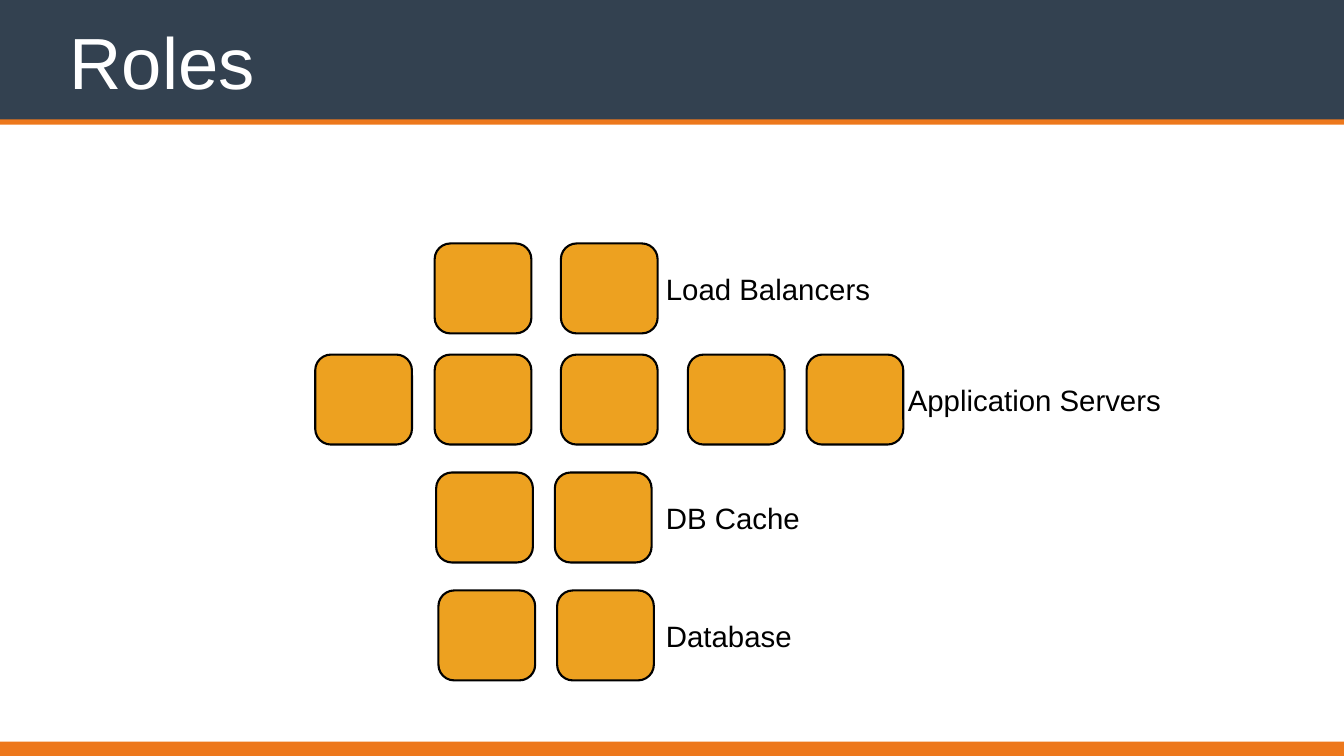
from lxml import etree
from pptx import Presentation
from pptx.dml.color import RGBColor
from pptx.enum.shapes import MSO_SHAPE as Preset
from pptx.enum.text import MSO_ANCHOR as Anchor
from pptx.util import Inches, Pt


def color(value):
    return RGBColor.from_string(value)


def add_text(text, left, top, width, height, anchor, margin):
    frame = slide.shapes.add_textbox(Inches(left), Inches(top), Inches(width), Inches(height)).text_frame
    frame.word_wrap = True
    frame.vertical_anchor = anchor
    frame.margin_left = frame.margin_right = Inches(margin)
    frame.margin_top = frame.margin_bottom = Inches(margin)
    paragraph = frame.paragraphs[0]
    paragraph.text = text
    return paragraph


presentation = Presentation()
presentation.slide_width = Inches(17.78)
presentation.slide_height = Inches(10)
slide = presentation.slides.add_slide(presentation.slide_layouts[6])

bands = [(-0.14, 1.78, "334150"), (1.58, 0.07, "ED781C"), (9.81, 0.25, "ED781C")]
for top, height, fill in bands:
    band = slide.shapes.add_shape(Preset.RECTANGLE, 0, Inches(top), Inches(17.78), Inches(height))
    band.shadow.inherit = False
    band.fill.solid()
    band.fill.fore_color.rgb = color(fill)
    band.line.fill.background()

title = add_text("Roles", 0.88, 0.19, 16.03, 1.22, Anchor.BOTTOM, 0.04)
title_run = title.runs[0]
title_run.font.size = Pt(69)
title_run.font.color.rgb = color("FFFFFF")
title_run.font._element.append(etree.fromstring(
    '<a:effectLst xmlns:a="http://schemas.openxmlformats.org/drawingml/2006/main">'
    '<a:outerShdw blurRad="38100" dist="38100" dir="2700000">'
    '<a:srgbClr val="000000"/></a:outerShdw></a:effectLst>'))
title_run.font.name = "Arial"

roles = [
    ("Load Balancers", 3.22, [5.75, 7.42], 8.81),
    ("Application Servers", 4.69, [4.17, 5.75, 7.42, 9.1, 10.67], 12.01),
    ("DB Cache", 6.25, [5.77, 7.34], 8.81),
    ("Database", 7.81, [5.8, 7.37], 8.81),
]
for role, top, server_lefts, label_left in roles:
    for left in server_lefts:
        server = slide.shapes.add_shape(
            Preset.ROUNDED_RECTANGLE, Inches(left), Inches(top), Inches(1.28), Inches(1.19))
        server.adjustments[0] = 0.175
        server.shadow.inherit = False
        server.fill.solid()
        server.fill.fore_color.rgb = color("EDA120")
        server.line.color.rgb = color("000000")
        server.line.width = Pt(2)
    label = add_text(role, label_left, top + 0.31, 4.14, 0.58, Anchor.MIDDLE, 0)
    label.font.size = Pt(28)
    label.font.name = "Arial"
    label.font.color.rgb = color("000000")

presentation.save("out.pptx")
